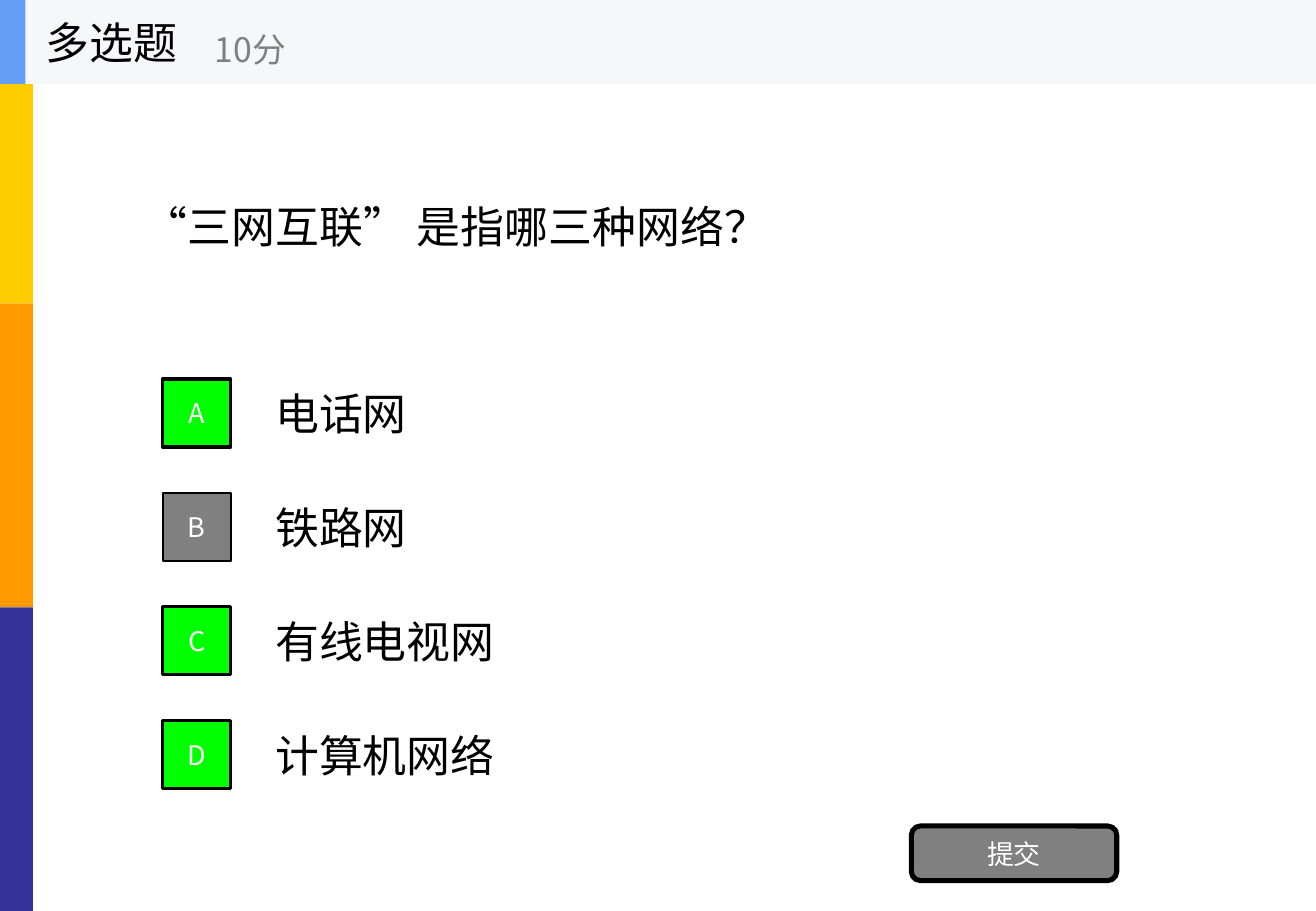
from lxml import etree
from pptx import Presentation, util as u
from pptx.dml.color import RGBColor
from pptx.enum import lang, shapes, text
from pptx.oxml.ns import qn

FONT = "Noto Sans CJK SC"
WIDTH, HEIGHT = 10.83, 7.5
ROW = HEIGHT / 8
COL = WIDTH / 10
HEADER = 0.69
BUTTON = 0.56
BLACK, WHITE, GREY, GREEN = "000000", "FFFFFF", "808080", "00FF00"
OPTIONS = [("A", "电话网", True), ("B", "铁路网", False),
           ("C", "有线电视网", True), ("D", "计算机网络", True)]


def color(hex_code):
    return RGBColor.from_string(hex_code)


def inches(*lengths):
    return [u.Inches(n) for n in lengths]


def write(sp, words, size, hex_code, align=text.PP_ALIGN.LEFT):
    tf = sp.text_frame
    frame = dict(word_wrap=True, auto_size=text.MSO_AUTO_SIZE.NONE,
                 vertical_anchor=text.MSO_ANCHOR.MIDDLE)
    for name, value in frame.items():
        setattr(tf, name, value)
    p = tf.paragraphs[0]
    p.alignment = align
    r = p.add_run()
    r.text = words
    look = dict(size=u.Pt(size), name=FONT,
                language_id=lang.MSO_LANGUAGE_ID.SIMPLIFIED_CHINESE)
    for name, value in look.items():
        setattr(r.font, name, value)
    r.font.color.rgb = color(hex_code)
    latin = r.font._element.find(qn("a:latin"))
    east_asian = etree.Element(qn("a:ea"), typeface=FONT)
    latin.addnext(east_asian)


def add_label(s, box, words, size=26, hex_code=BLACK):
    write(s.shapes.add_textbox(*inches(*box)), words, size, hex_code)


def add_block(s, box, fill, kind=shapes.MSO_SHAPE.RECTANGLE):
    sp = s.shapes.add_shape(kind, *inches(*box))
    sp.shadow.inherit = False
    sp.fill.solid()
    sp.fill.fore_color.rgb = color(fill)
    sp.line.fill.background()
    return sp


def add_button(s, box, words, fill, line_width, **kind):
    sp = add_block(s, box, fill, **kind)
    sp.line.color.rgb = color(BLACK)
    sp.line.width = u.Pt(line_width)
    write(sp, words, 16, WHITE, text.PP_ALIGN.CENTER)


def add_question(s, words):
    title = s.shapes.title
    box = inches(COL, HEADER, 8 * COL, 2.5 * ROW)
    for name, value in zip(("left", "top", "width", "height"), box):
        setattr(title, name, value)
    write(title, words, 26, BLACK)


def add_option(s, i, letter, words, correct):
    top, height = 3.05 + i * ROW, 0.7
    add_label(s, (2 * COL, top, 7 * COL, height), words)
    box = (1.34, top + (height - BUTTON) / 2, BUTTON, BUTTON)
    fill, line_width = (GREEN, 2) if correct else (GREY, 1)
    add_button(s, box, letter, fill, line_width)


def add_header(s, kind, points):
    add_block(s, (0, 0, WIDTH, HEADER), "F6F7F8")
    add_block(s, (0, 0, 0.21, HEADER), "639EF4")
    add_label(s, (0.28, 0, 2.08, HEADER), kind)
    add_label(s, (1.67, 0.12, 2.5, 0.56), points, 20, GREY)


def main():
    prs = Presentation()
    prs.slide_width, prs.slide_height = inches(WIDTH, HEIGHT)
    s = prs.slides.add_slide(prs.slide_layouts.get_by_name("Title Only"))

    band = HEIGHT / 3
    for i, fill in enumerate(("FFCC00", "FF9900", "333399")):
        add_block(s, (0, i * band, COL / 4, band), fill)

    add_question(s, "“三网互联” 是指哪三种网络？")
    for i, option in enumerate(OPTIONS):
        add_option(s, i, *option)
    add_button(s, (7.5, 6.8, 1.69, 0.45), "提交", GREY, 3,
               kind=shapes.MSO_SHAPE.ROUNDED_RECTANGLE)
    add_header(s, "多选题", "10分")

    prs.save("out.pptx")


if __name__ == "__main__":
    main()
